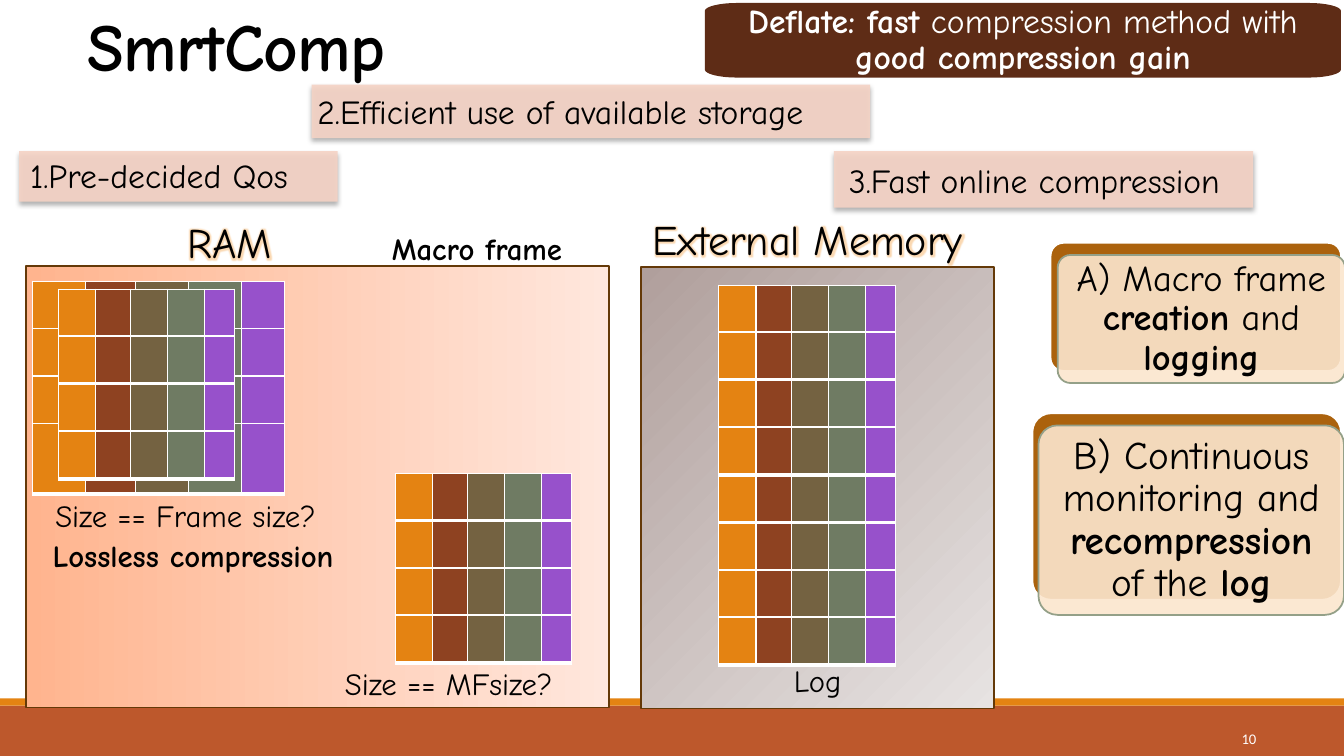
from dataclasses import dataclass
from math import cos, pi, sin

from lxml import etree
from pptx import Presentation
from pptx.dml.color import RGBColor
from pptx.enum.shapes import MSO_SHAPE
from pptx.enum.text import MSO_ANCHOR, PP_ALIGN
from pptx.oxml import parse_xml
from pptx.util import Inches, Pt

RECT, ROUND = MSO_SHAPE.RECTANGLE, MSO_SHAPE.ROUNDED_RECTANGLE
LEFT, CENTER, RIGHT = PP_ALIGN.LEFT, PP_ALIGN.CENTER, PP_ALIGN.RIGHT
TOP, MIDDLE, BOTTOM = MSO_ANCHOR.TOP, MSO_ANCHOR.MIDDLE, MSO_ANCHOR.BOTTOM
NS = "http://schemas.openxmlformats.org/drawingml/2006/main"


@dataclass(frozen=True)
class Theme:
    font: str = "Comic Neue"
    number_font: str = "Calibri"
    black: str = "000000"
    white: str = "FFFFFF"
    footer: str = "BD582C"
    stripe: str = "E48312"
    label: str = "F5D3C5"
    card: str = "FBE6CE"
    card_back: str = "AB620D"
    card_line: str = "94A088"
    panel_line: str = "643908"
    banner: str = "5E2C16"
    glow: str = "F5A040"
    title: float = 48
    heading: float = 30
    label_size: float = 24
    note: float = 22
    number: float = 10.5


T = Theme()
W, H = 13.33, 7.5

# Content: boxes are (left, top, width, height) in inches
TITLE = ("SmrtComp", (0.77, -0.69, 11, 1.59))
NUMBER = ("10", (11.13, 7.13, 1.43, 0.4))
BANNER = ([("Deflate: fast", True), (" compression method with ", False),
           ("good compression gain", True)], (6.99, 0.03, 6.31, 0.74))
LABELS = [  # text, plate, text box
    ("1.Pre-decided Qos", (0.19, 1.5, 3.16, 0.5), (0.2, 1.49, 3.16, 0.5)),
    ("2.Efficient use of available storage",
     (3.09, 0.84, 5.54, 0.53), (3.05, 0.85, 5.75, 0.5)),
    ("3.Fast online compression", (8.27, 1.5, 4.16, 0.56), (8.32, 1.54, 4.26, 0.48)),
]
PANELS = [  # heading, heading box, panel, gradient, angle
    ("RAM", (1.76, 2.1, 2.2, 0.61), (0.26, 2.64, 5.78, 4.38), ("FFB48E", "FFE7DD"), 0),
    ("External Memory", (6.37, 2.07, 3.98, 0.61), (6.36, 2.65, 3.5, 4.38),
     ("B09F9C", "E7E3E2"), 315),
]
CARDS = [  # runs, size, back box, front box
    ([("A) Macro frame ", False), ("creation", True), (" and ", False),
      ("logging", True)], 26, (10.42, 2.41, 2.88, 1.27), (10.49, 2.53, 2.85, 1.27)),
    ([("B) Continuous monitoring and ", False), ("recompression", True),
      (" of the ", False), ("log", True)], 28,
     (10.24, 4.1, 3.06, 1.85), (10.3, 4.22, 3.03, 1.88)),
]
NOTES = [  # text, bold, box
    ("Size == Frame size?", False, (-1.57, 4.88, 6.82, 0.47)),
    ("Size == MFsize?", False, (1.04, 6.55, 6.82, 0.47)),
    ("Log", False, (6.11, 6.52, 4, 0.48)),
    ("Macro frame", True, (1.32, 2.23, 6.82, 0.47)),
    ("Lossless compression", True, (0.25, 5.28, 3.33, 0.47)),
]
# Frames: each is a stack of one-row tables, (left, top, width, row height)
FRAMES = [(0.32, 2.79, 2.5, 0.7), (0.58, 2.87, 1.75, 0.47), (3.92, 4.7, 1.75, 0.47),
          (7.13, 4.72, 1.75, 0.47), (7.13, 2.83, 1.75, 0.47)]
FRAME_ROWS, PITCH = 4, 0.47
BANDS = [("E48312", 0.21), ("8E4221", 0.2), ("746241", 0.21), ("6F7B63", 0.21),
         ("9751CB", 0.17)]
BORDERS = [("lnL", 1), ("lnR", 1), ("lnT", 1), ("lnB", 3)]

prs = Presentation()
prs.slide_width, prs.slide_height = Inches(W), Inches(H)
s = prs.slides.add_slide(prs.slide_layouts[5])


def rgb(value):
    return RGBColor.from_string(value)


def paint(sp, fill, line=None, alpha=None):
    sp.shadow.inherit = False
    if isinstance(fill, str):
        sp.fill.solid()
        sp.fill.fore_color.rgb = rgb(fill)
    if alpha:
        color = sp.fill._xPr.find(f".//{{{NS}}}srgbClr")
        etree.SubElement(color, f"{{{NS}}}alpha", val=str(alpha * 1000))
    if line:
        sp.line.color.rgb = rgb(line)
        sp.line.width = Pt(1.25)
    else:
        sp.line.fill.background()
    return sp


def shape(kind, box, fill, line=None, alpha=None):
    sp = s.shapes.add_shape(kind, *map(Inches, box))
    if kind == ROUND:
        sp.adjustments[0] = 0.1
    return paint(sp, fill, line, alpha)


def write(sp, runs, size, color=T.black, align=LEFT, anchor=TOP, font=T.font,
          inset=None, spacing=None):
    tf = sp.text_frame
    tf.word_wrap, tf.vertical_anchor = True, anchor
    if inset:
        tf.margin_left = tf.margin_right = tf.margin_top = tf.margin_bottom = Inches(inset)
    p = tf.paragraphs[0]
    p.alignment, p.line_spacing = align, spacing
    p.font.name, p.font.size, p.font.color.rgb = font, Pt(size), rgb(color)
    for text, bold in runs:
        r = p.add_run()
        r.text, r.font.bold = text, bold
    return p


def textbox(text, box, size, bold=False, **style):
    return write(s.shapes.add_textbox(*map(Inches, box)), [(text, bold)], size, **style)


def oval_corner_box(box, rx, ry, steps=8):
    x, y, w, h = box
    centers = [(x + w - rx, y + h - ry), (x + rx, y + h - ry), (x + rx, y + ry),
               (x + w - rx, y + ry)]
    points = []
    for quarter, (cx, cy) in enumerate(centers):
        for i in range(steps + 1):
            a = (quarter + i / steps) * pi / 2
            points.append((Inches(cx + rx * cos(a)), Inches(cy + ry * sin(a))))
    builder = s.shapes.build_freeform(*points[0])
    builder.add_line_segments(points[1:], close=True)
    return builder.convert_to_shape()


def frame_row(left, top, width, height):
    table = s.shapes.add_table(1, len(BANDS), *map(Inches, (left, top, width, height))).table
    for i, (color, share) in enumerate(BANDS):
        table.columns[i].width = Inches(width * share)
        cell = table.cell(0, i)
        cell.text_frame.paragraphs[0].font.size = Pt(T.number)
        cell.fill.solid()
        cell.fill.fore_color.rgb = rgb(color)
        for at, (side, pt) in enumerate(BORDERS):
            cell._tc.tcPr.insert(at, parse_xml(
                f'<a:{side} xmlns:a="{NS}" w="{Pt(pt)}"><a:solidFill>'
                f'<a:srgbClr val="{T.white}"/></a:solidFill></a:{side}>'))


# Footer bars, title and slide number
shape(RECT, (0, 7, W, 0.5), T.footer)
shape(RECT, (0, 6.93, W, 0.07), T.stripe)
title = s.shapes.title
title.left, title.top, title.width, title.height = map(Inches, TITLE[1])
write(title, [(TITLE[0], True)], T.title, anchor=BOTTOM, spacing=0.85)
title.text_frame.paragraphs[0].runs[0].font._element.set("spc", "-50")
textbox(*NUMBER, T.number, color=T.white, align=RIGHT, anchor=MIDDLE, font=T.number_font)

# Goal labels on shadowed plates
for text, plate, box in LABELS:
    sp = shape(RECT, plate, T.label, alpha=90)
    sp._element.spPr.find(f"{{{NS}}}effectLst").append(parse_xml(
        f'<a:outerShdw xmlns:a="{NS}" blurRad="{Pt(3.5)}" dist="{Pt(2.2)}" dir="5400000">'
        f'<a:srgbClr val="{T.black}"><a:alpha val="32000"/></a:srgbClr></a:outerShdw>'))
    textbox(text, box, T.label_size)

# Step cards
for runs, size, back, front in CARDS:
    shape(ROUND, back, T.card_back, T.white)
    write(shape(ROUND, front, T.card, T.card_line, 90), runs, size, align=CENTER,
          anchor=MIDDLE, inset=0.14, spacing=0.9)

# Memory panels with glowing headings
for text, box, panel, stops, angle in PANELS:
    sp = shape(RECT, panel, None, T.panel_line)
    sp.fill.gradient()
    sp.fill.gradient_angle = angle
    for stop, color in zip(sp.fill.gradient_stops, stops):
        stop.color.rgb = rgb(color)
    p = textbox(text, box, T.heading)
    p.runs[0].font._element.insert(0, parse_xml(
        f'<a:effectLst xmlns:a="{NS}"><a:glow rad="{Pt(5)}"><a:srgbClr val="{T.glow}">'
        f'<a:alpha val="40000"/></a:srgbClr></a:glow></a:effectLst>'))

# Frames and their notes
for left, top, width, height in FRAMES:
    for row in range(FRAME_ROWS):
        frame_row(left, top + row * PITCH, width, height)
for text, bold, box in NOTES:
    textbox(text, box, T.note, bold, align=CENTER)

# Banner
write(paint(oval_corner_box(BANNER[1], 0.32, 0.08), T.banner), BANNER[0], T.label_size,
      color=T.white, align=CENTER, anchor=MIDDLE, inset=0.11, spacing=0.9)

prs.save("out.pptx")
